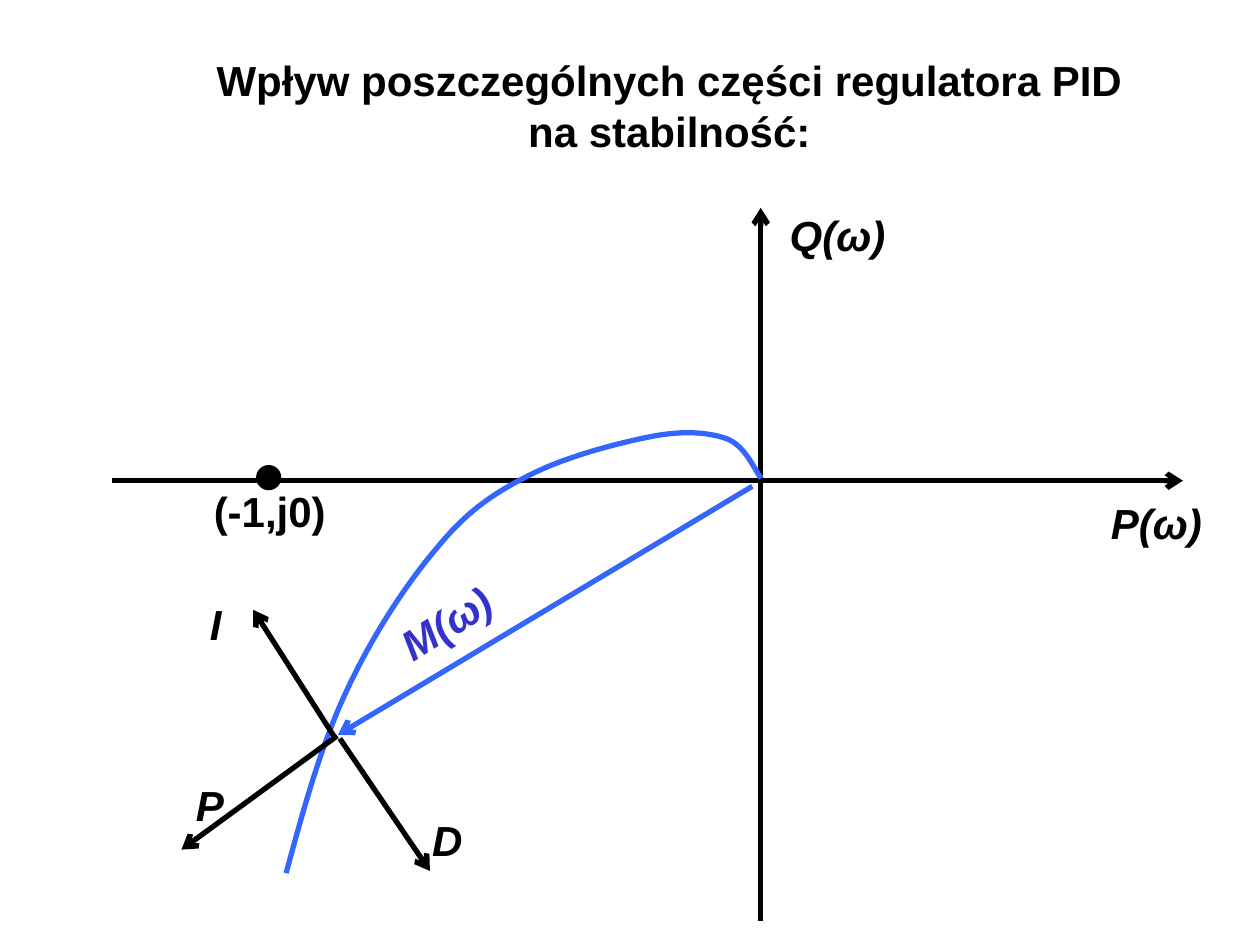
from pptx import Presentation
from pptx.dml.color import RGBColor
from pptx.enum.shapes import MSO_CONNECTOR, MSO_SHAPE
from pptx.enum.text import MSO_ANCHOR, MSO_AUTO_SIZE, PP_ALIGN
from pptx.oxml.ns import qn
from pptx.util import Pt
from lxml.etree import SubElement

COLORS = {"ink": "000000", "locus": "3366FF", "vector_label": "3333CC"}
LINE_WIDTH = 3
LABEL_HEIGHT = 36


def rgb(name):
    return RGBColor.from_string(COLORS[name])


def add_text(slide, text, left, top, width, height=LABEL_HEIGHT, *, color="ink",
             italic=True, align=PP_ALIGN.LEFT, wrap=False, rotation=0, inset_top=3.6,
             auto_size=MSO_AUTO_SIZE.SHAPE_TO_FIT_TEXT):
    label = slide.shapes.add_textbox(Pt(left), Pt(top), Pt(width), Pt(height))
    label.rotation = rotation
    frame = label.text_frame
    frame.word_wrap = wrap
    frame.auto_size = auto_size
    frame.vertical_anchor = MSO_ANCHOR.TOP
    frame.margin_top = Pt(inset_top)
    paragraph = frame.paragraphs[0]
    paragraph.alignment = align
    run = paragraph.add_run()
    run.text = text
    run.font.name = "Arial"
    run.font.size = Pt(24)
    run.font.bold = True
    run.font.italic = italic
    run.font.color.rgb = rgb(color)


def add_arrow(slide, start, end, color="ink"):
    arrow = slide.shapes.add_connector(
        MSO_CONNECTOR.STRAIGHT, *(Pt(value) for value in (*start, *end)))
    arrow.line.color.rgb = rgb(color)
    arrow.line.width = Pt(LINE_WIDTH)
    properties = arrow.line._get_or_add_ln()
    SubElement(properties, qn("a:tailEnd"), type="arrow")
    SubElement(properties.getparent(), qn("a:effectLst"))


def add_curve(slide, nodes, color):
    start, *rest = [(Pt(x), Pt(y)) for x, y in nodes]
    builder = slide.shapes.build_freeform(*start)
    builder.add_line_segments(rest, close=False)
    curve = builder.convert_to_shape()
    curve.shadow.inherit = False
    curve.fill.background()
    curve.line.color.rgb = rgb(color)
    curve.line.width = Pt(LINE_WIDTH)
    segments = list(curve._element.iter(qn("a:lnTo")))
    outline = segments[0].getparent()
    for first in range(0, len(segments), 3):
        bend = SubElement(outline, qn("a:cubicBezTo"))
        for segment in segments[first:first + 3]:
            bend.append(segment[0])
            outline.remove(segment)


def add_title(slide, left, top, width, height):
    add_text(slide, "Wpływ poszczególnych części regulatora PID na stabilność:",
             left, top, width, height, italic=False, align=PP_ALIGN.CENTER,
             wrap=True, inset_top=0, auto_size=MSO_AUTO_SIZE.NONE)


def add_axes(slide, left, top, width, height):
    origin_x, origin_y = left + 370.7, top + 155.9
    add_arrow(slide, (origin_x, top + height), (origin_x, top))
    add_arrow(slide, (left, origin_y), (left + width, origin_y))
    add_text(slide, "P(ω)", left + 563.7, origin_y + 6, 67)
    add_text(slide, "Q(ω)", origin_x + 9.5, top - 2.9, 69.5)

    critical_point = slide.shapes.add_shape(
        MSO_SHAPE.OVAL, Pt(left + 82.7), Pt(origin_y - 8.6), Pt(13.7), Pt(13.7))
    critical_point.shadow.inherit = False
    critical_point.fill.solid()
    critical_point.fill.fore_color.rgb = rgb("ink")
    critical_point.line.color.rgb = rgb("ink")
    critical_point.line.width = Pt(0.75)
    add_text(slide, "(-1,j0)", left + 51.1, origin_y - 1, 78.7, italic=False)


def add_locus(slide, left, top, width, height):
    add_arrow(slide, (left + 266.4, top + 32.6), (left + 29.6, top + 174.6), "locus")
    add_text(slide, "M(ω)", left + 55.5, top + 89, 83.5, color="vector_label",
             wrap=True, rotation=327.8)
    nodes = [(0, height), (10, 217), (20, 180.5), (34.6, 149.5),
             (49, 118.5), (68.5, 88.5), (86.5, 67.5),
             (103.7, 46.5), (118.8, 36.5), (139, 26.3),
             (160, 15.5), (190.8, 7.6), (209.6, 4),
             (228.3, 0.5), (242, 2), (252, 5.5),
             (262.8, 9.8), (268, 24), (width, 28)]
    add_curve(slide, [(left + x, top + y) for x, y in nodes], "locus")


def add_pid_actions(slide, left, top, width, height):
    actions = [
        ("P", (89, 82.5), (0, 147.5), (1.1, 103.8), 30.2),
        ("D", (90.5, 84), (142, height), (136.2, 124.2), 31.7),
        ("I", (87, 82.5), (41, 10.5), (9.2, 0.4), 21),
    ]
    for name, start, end, label, label_width in actions:
        add_arrow(slide, (left + start[0], top + start[1]), (left + end[0], top + end[1]))
        add_text(slide, name, left + label[0], top + label[1], label_width)


def main():
    presentation = Presentation()
    presentation.slide_width = Pt(720)
    presentation.slide_height = Pt(540)
    slide = presentation.slides.add_slide(presentation.slide_layouts[6])
    add_title(slide, 116, 31.3, 533, 80)
    add_axes(slide, 64, 118.8, 612, 407.5)
    add_locus(slide, 163.5, 245.3, 271.5, 253.7)
    add_pid_actions(slide, 103.7, 338, 168, 159.7)
    presentation.save("out.pptx")


if __name__ == "__main__":
    main()
